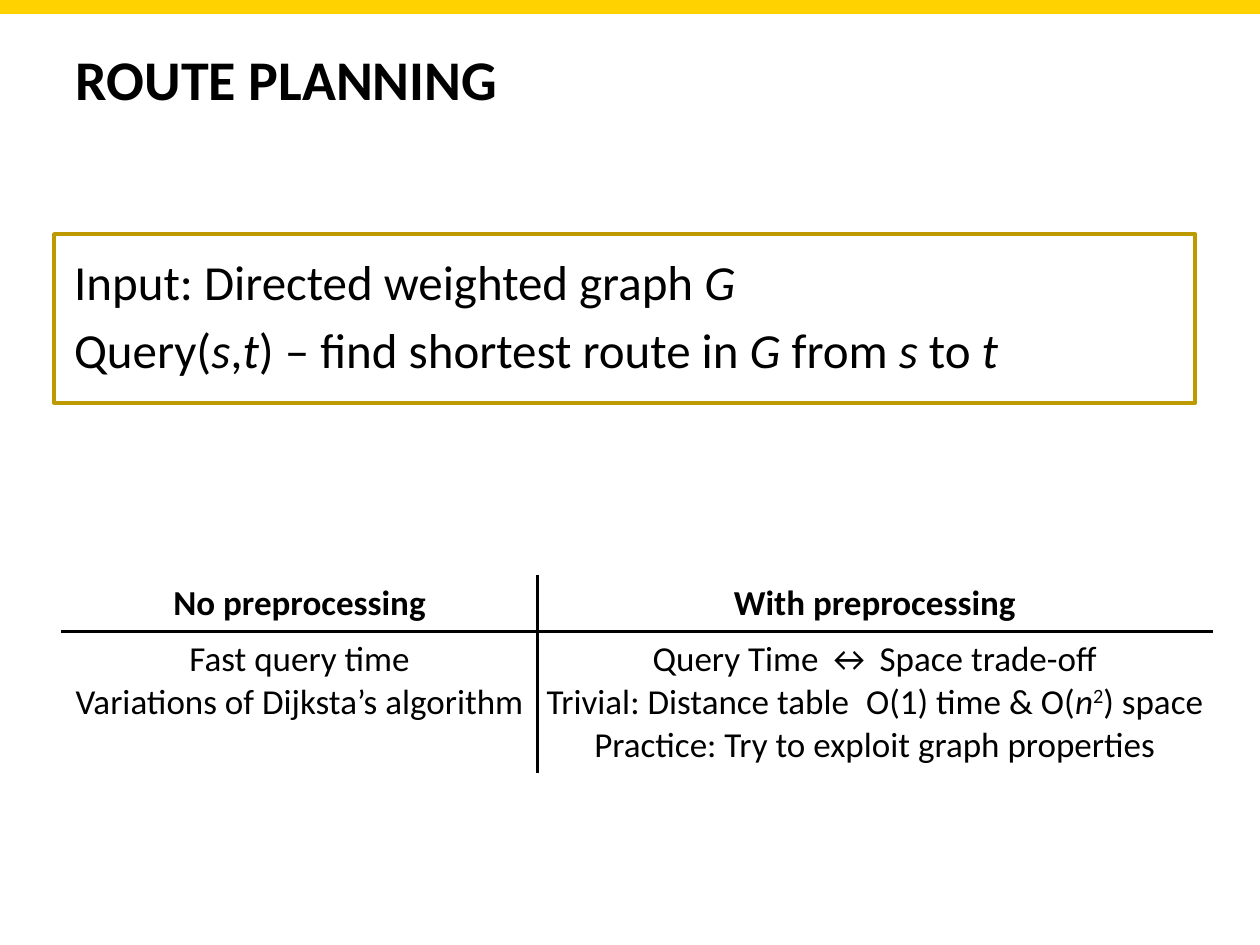
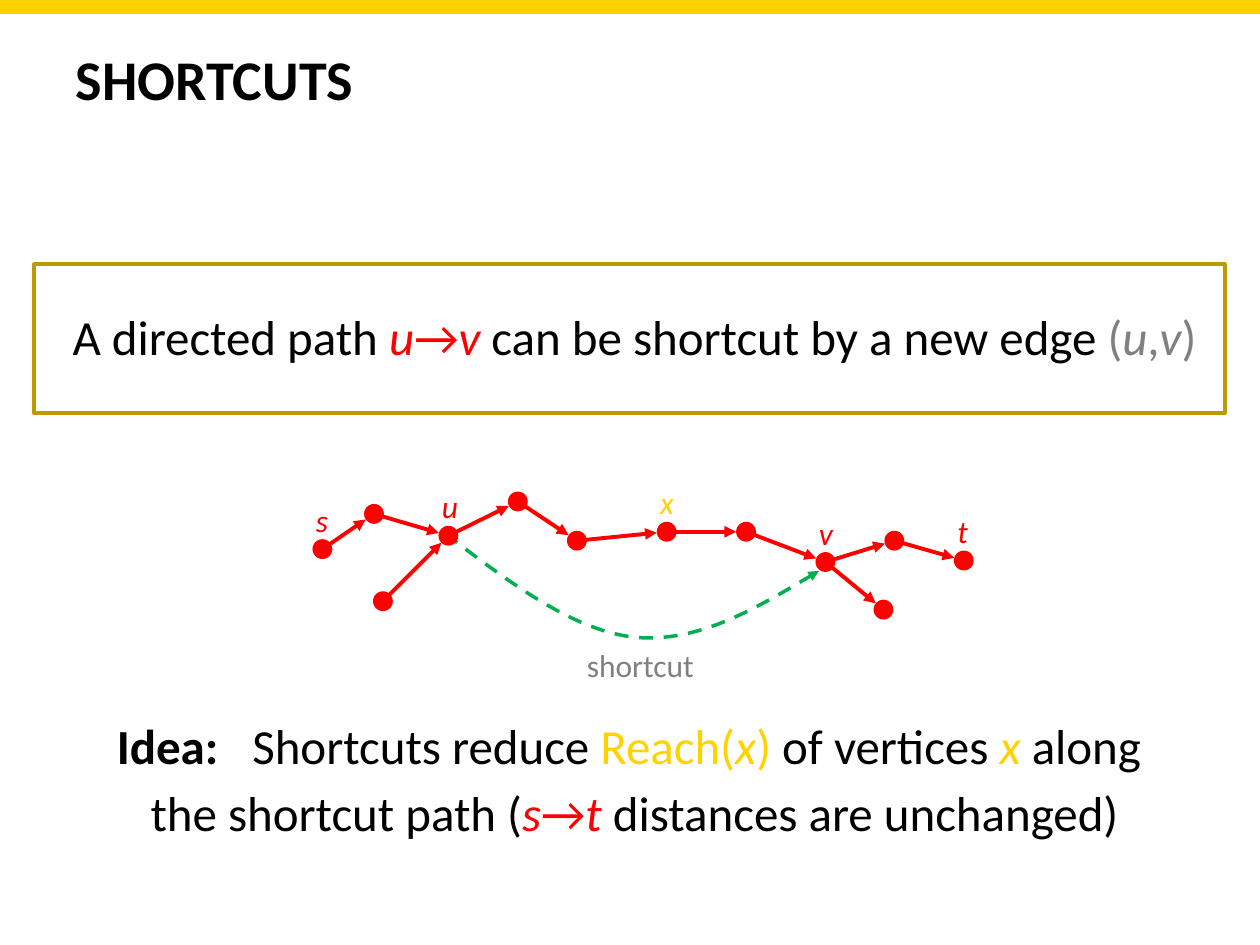
from math import hypot

from lxml import etree
from pptx import Presentation
from pptx.dml.color import RGBColor
from pptx.enum import dml, shapes, text
from pptx.oxml.ns import qn
from pptx.util import Cm, Pt

BLACK, GREY = "000000", "807F83"
YELLOW, GOLD = "FFD200", "BD9B00"
RED, GREEN = "FF0000", "00B050"
CENTER = text.PP_ALIGN.CENTER
NODE_RADIUS = 0.2


def rgb(hex_code):
    return RGBColor.from_string(hex_code)


def lengths(*values):
    return [Cm(value) for value in values]


class Deck:
    font, title_size, body_size, table_size, label_size = "Calibri", 32, 28, 20, 18

    def __init__(self):
        self.prs = Presentation()
        self.prs.slide_width, self.prs.slide_height = Cm(25.4), Cm(19.05)
        self.slide = None

    def new_slide(self, title, title_box):
        """Start a slide with the top band and a title."""
        self.slide = self.prs.slides.add_slide(self.prs.slide_layouts[1])
        self.shape(shapes.MSO_SHAPE.RECTANGLE, (0, 0, 25.4, 0.28), YELLOW, YELLOW, 0.75)
        self.placeholder(self.slide.shapes.title, title_box, [[title]],
                         self.title_size, bold=True)

    def typeset(self, paragraph, pieces, size, color=BLACK, bold=False, align=None):
        """Pieces are strings or (string, options); *stars* mark italics."""
        paragraph.alignment = align
        font = paragraph.font
        font.name, font.size, font.bold = self.font, Pt(size), bold
        font.color.rgb = rgb(color)
        for piece in pieces:
            words, options = (piece, {}) if isinstance(piece, str) else piece
            for index, part in enumerate(words.split("*")):
                if part:
                    run = paragraph.add_run()
                    run.text = part
                    self.format_run(run, index % 2 == 1, **options)

    def format_run(self, run, italic, color=None, bold=None, raised=False, spread=0):
        if italic:
            run.font.italic = True
        if bold:
            run.font.bold = True
        if color:
            run.font.color.rgb = rgb(color)
        properties = run._r.get_or_add_rPr()
        if raised:
            properties.set("baseline", "30000")
        if spread:
            properties.set("spc", str(spread * 100))

    def fill_frame(self, frame, lines, size, gaps=None, **style):
        for index, pieces in enumerate(lines):
            paragraph = frame.paragraphs[0] if index == 0 else frame.add_paragraph()
            if index and gaps:
                paragraph.space_before = Pt(gaps[index - 1])
            self.typeset(paragraph, pieces, size, **style)

    def placeholder(self, holder, box, lines, size, gaps=None,
                    align=text.PP_ALIGN.LEFT, bold=False):
        holder.left, holder.top, holder.width, holder.height = lengths(*box)
        frame = holder.text_frame
        frame.word_wrap, frame.auto_size = True, text.MSO_AUTO_SIZE.NONE
        frame.vertical_anchor = text.MSO_ANCHOR.TOP
        self.fill_frame(frame, lines, size, gaps, align=align, bold=bold)
        for paragraph in frame.paragraphs:
            properties = paragraph._p.get_or_add_pPr()
            properties.set("marL", "0")
            properties.set("indent", "0")
            bullet = etree.Element(qn("a:buNone"))
            properties.find(qn("a:defRPr")).addprevious(bullet)
        frame.paragraphs[0].space_before = Pt(0)

    def body(self, box, lines, gaps, align=text.PP_ALIGN.LEFT):
        self.placeholder(self.slide.placeholders[1], box, lines, self.body_size, gaps, align)

    def shape(self, kind, box, fill=None, line=None, width=2.25):
        item = self.slide.shapes.add_shape(kind, *lengths(*box))
        item.shadow.inherit = False
        if fill:
            item.fill.solid()
            item.fill.fore_color.rgb = rgb(fill)
        else:
            item.fill.background()
        if line:
            item.line.color.rgb, item.line.width = rgb(line), Pt(width)
        else:
            item.line.fill.background()

    def frame(self, box):
        self.shape(shapes.MSO_SHAPE.RECTANGLE, box, line=GOLD)

    def node(self, x, y):
        side = 2 * NODE_RADIUS
        self.shape(shapes.MSO_SHAPE.OVAL, (x - NODE_RADIUS, y - NODE_RADIUS, side, side), RED)

    def arrow_line(self, item, color, width):
        item.line.color.rgb, item.line.width = rgb(color), Pt(width)
        ln = item.element.spPr.get_or_add_ln()
        etree.SubElement(ln, qn("a:tailEnd"), type="triangle")

    def edge(self, start, end):
        """Arrow from a node's centre to the rim of the next node."""
        dx, dy = end[0] - start[0], end[1] - start[1]
        share = 1 - NODE_RADIUS / hypot(dx, dy)
        tip = start[0] + dx * share, start[1] + dy * share
        item = self.slide.shapes.add_connector(shapes.MSO_CONNECTOR.STRAIGHT,
                                               *lengths(*start, *tip))
        self.arrow_line(item, RED, 2.25)
        etree.SubElement(item.element.spPr, qn("a:effectLst"))

    def curve(self, start, controls):
        """Dashed Bézier arrow; every three points make one segment."""
        builder = self.slide.shapes.build_freeform(*lengths(*start))
        builder.add_line_segments([lengths(*point) for point in controls], close=False)
        item = builder.convert_to_shape()
        steps = list(item.element.iter(qn("a:lnTo")))
        outline = steps[0].getparent()
        for first in range(0, len(steps), 3):
            bezier = etree.SubElement(outline, qn("a:cubicBezTo"))
            for step in steps[first:first + 3]:
                bezier.append(step[0])
                outline.remove(step)
        item.shadow.inherit = False
        item.fill.background()
        item.line.dash_style = dml.MSO_LINE.DASH
        self.arrow_line(item, GREEN, 2)

    def label(self, box, words, color):
        frame = self.slide.shapes.add_textbox(*lengths(*box)).text_frame
        frame.word_wrap = True
        self.typeset(frame.paragraphs[0], [words], self.label_size, color)

    def border(self, cell, side):
        ln = etree.SubElement(cell._tc.get_or_add_tcPr(), qn("a:" + side), w=str(Pt(2.25)))
        solid = etree.SubElement(ln, qn("a:solidFill"))
        etree.SubElement(solid, qn("a:srgbClr"), val=BLACK)

    def table(self, left, top, widths, heights, rows):
        """Table with a heading row and rules between its cells only."""
        grid = self.slide.shapes.add_table(
            len(rows), len(widths), *lengths(left, top, sum(widths), sum(heights))).table
        grid.first_row = grid.horz_banding = False
        for column, width in zip(grid.columns, widths):
            column.width = Cm(width)
        for r, row in enumerate(rows):
            grid.rows[r].height = Cm(heights[r])
            for c, lines in enumerate(row):
                cell = grid.cell(r, c)
                cell.margin_left = cell.margin_right = Cm(0.13)
                cell.margin_top = cell.margin_bottom = Cm(0.13)
                self.fill_frame(cell.text_frame, lines, self.table_size,
                                bold=r == 0, align=CENTER)
                inner = {"lnL": c > 0, "lnR": c < len(widths) - 1,
                         "lnT": r > 0, "lnB": r < len(rows) - 1}
                for side, drawn in inner.items():
                    if drawn:
                        self.border(cell, side)
                cell.fill.background()


def route_planning(deck):
    deck.new_slide("ROUTE PLANNING", (1.27, 0.76, 23.88, 1.7))
    deck.body((1.24, 4.95, 22.86, 8.38), [
        ["Input: Directed weighted graph *G*"],
        ["Query(*s*,*t*) – find shortest route in *G* from *s* to *t*"],
    ], gaps=[5])

    # Comparison of the two approaches
    trivial = ["Trivial: Distance table", (" ", {"spread": 5}), "O(1) time & O(*n*",
               ("2", {"raised": True}), ") space"]
    deck.table(1.24, 11.61, (9.6, 13.59), (1.12, 2.77), [
        [[["No preprocessing"]], [["With preprocessing"]]],
        [[["Fast query time"], ["Variations of Dijksta’s algorithm"]],
         [["Query Time ↔ Space trade-off"], trivial,
          ["Practice: Try to exploit graph properties"]]],
    ])
    deck.frame((1.09, 4.72, 23.01, 3.4))


def shortcuts(deck):
    deck.new_slide("SHORTCUTS", (1.27, 0.76, 22.86, 3.18))
    red, grey, yellow = ({"color": color} for color in (RED, GREY, YELLOW))

    # Shortcut edge, behind the path
    deck.curve((8.99, 10.77), [(10.26, 11.73), (11.56, 12.73), (12.83, 12.85),
                               (14.07, 12.95), (15.29, 12.24), (16.51, 11.51)])

    # Statement above and idea below the graph
    deck.body((0.89, 6.05, 23.8, 12.09), [
        ["A directed path ", ("*u*→*v* ", red), "can be shortcut by a new edge ",
         ("(*u*,*v*)", grey)],
        [("Idea:", {"bold": True}), (" ", {"spread": 13}), "Shortcuts reduce ",
         ("Reach(*x*)", yellow), " of vertices ", ("*x* ", yellow), "along "],
        ["the shortcut path (", ("*s*→*t*", red), " distances are unchanged)"],
    ], gaps=[200, 5], align=CENTER)
    deck.frame((0.69, 5.33, 24, 3))

    # Graph: the path from s to t and two side branches
    nodes = {"s": (6.5, 11.07), "a": (7.54, 10.36), "u": (9.04, 10.8),
             "b": (10.44, 10.11), "c": (11.63, 10.9), "x": (13.44, 10.72),
             "d": (15.04, 10.72), "v": (16.64, 11.33), "e": (18.03, 10.9),
             "t": (19.43, 11.3), "into_u": (7.72, 12.12), "out_of_v": (17.81, 12.29)}
    route = "saubcxdvet"
    for start, end in [*zip(route, route[1:]), ("into_u", "u"), ("v", "out_of_v")]:
        deck.edge(nodes[start], nodes[end])
    for center in nodes.values():
        deck.node(*center)
    for name in "uvxst":
        x, y = nodes[name]
        deck.label((x - 0.38, y - 1.1, 0.78, 1.02), f"*{name}*",
                   YELLOW if name == "x" else RED)
    deck.label((11.58, 12.9, 2.8, 1.02), "shortcut", GREY)


def main():
    deck = Deck()
    route_planning(deck)
    shortcuts(deck)
    deck.prs.save("out.pptx")


if __name__ == "__main__":
    main()
